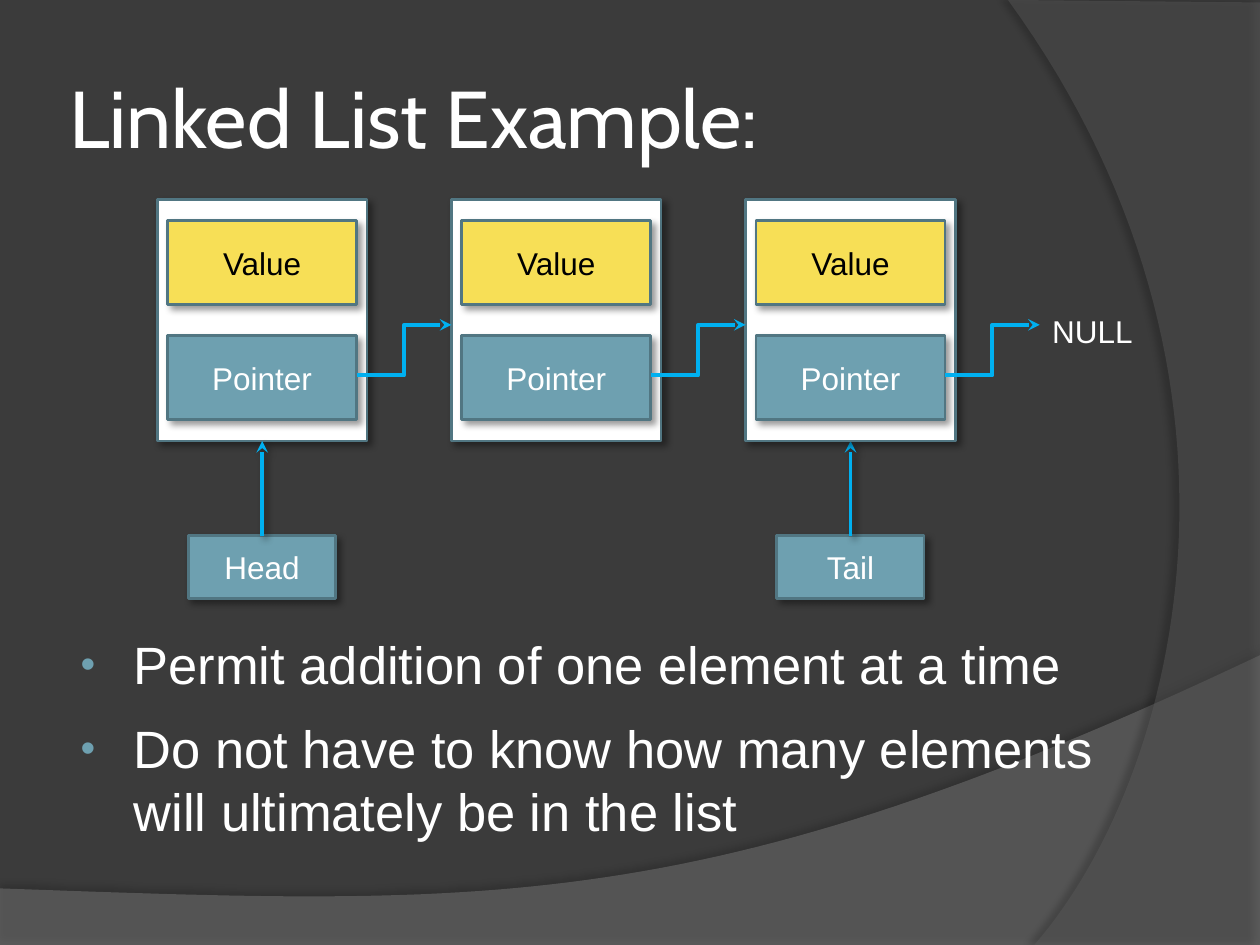
from dataclasses import dataclass

from lxml.etree import SubElement
from pptx import Presentation
from pptx.dml.color import RGBColor
from pptx.enum.shapes import MSO_CONNECTOR as Connector, MSO_SHAPE as Shape
from pptx.enum.text import MSO_ANCHOR as Anchor, MSO_AUTO_SIZE as AutoSize, PP_ALIGN as Align
from pptx.oxml.ns import qn
from pptx.util import Cm, Pt


@dataclass(frozen=True)
class Theme:
    """Colours, fonts and type sizes of the deck."""
    background: str = "3B3B3B"
    wave: str = "7F7F7F"
    arc: str = "5E5E5E"
    white: str = "FFFFFF"
    black: str = "000000"
    teal: str = "6EA0B0"
    edge: str = "517682"
    yellow: str = "F7DF56"
    arrow: str = "00B0F0"
    title_font: str = "Cabin"
    font: str = "Arial"
    title_size: int = 46
    body_size: int = 30
    label_size: int = 18


THEME = Theme()
NODE_LEFT, NODE_TOP, NODE_WIDTH, NODE_HEIGHT = 3.17, 4.02, 4.23, 4.87
NODE_PITCH = 5.93
CELL_INSET, CELL_WIDTH, CELL_HEIGHT = 0.21, 3.81, 1.69
TAG_TOP, TAG_WIDTH, TAG_HEIGHT = 10.8, 2.97, 1.27


def rgb(color):
    """Turn a hex string into a colour."""
    return RGBColor.from_string(color)


def add_shadow(item, opacity=40, distance=3, angle=45):
    """Give a shape or connector a soft black outer shadow."""
    properties = item._element.spPr
    effects = properties.find(qn("a:effectLst"))
    if effects is None:
        effects = SubElement(properties, qn("a:effectLst"))
    shadow = SubElement(effects, qn("a:outerShdw"), blurRad=str(Pt(4)),
                        dist=str(Pt(distance)), dir=str(angle * 60000),
                        algn="ctr", rotWithShape="0")
    color = SubElement(shadow, qn("a:srgbClr"), val=THEME.black)
    SubElement(color, qn("a:alpha"), val=str(opacity * 1000))


def write(para, text, size, color=THEME.white, font=THEME.font):
    """Add one formatted run to a paragraph."""
    span = para.add_run()
    span.text = text
    span.font.name = font
    span.font.size = Pt(size)
    span.font.color.rgb = rgb(color)


def bezier(start, first, second, end, steps=60):
    """List the points of a cubic curve after its start."""
    points = []
    for step in range(1, steps + 1):
        t = step / steps
        weights = ((1 - t) ** 3, 3 * t * (1 - t) ** 2, 3 * t * t * (1 - t), t ** 3)
        points.append(tuple(sum(w * p[axis] for w, p in zip(weights, (start, first, second, end)))
                            for axis in (0, 1)))
    return points


def add_backdrop(page, corners, curve, color, opacity, shadow):
    """Lay a translucent curved panel behind everything else."""
    points = [(Cm(x), Cm(y)) for x, y in corners + bezier(corners[-1], *curve)]
    builder = page.shapes.build_freeform(*points[0])
    builder.add_line_segments(points[1:], close=True)
    panel = builder.convert_to_shape()
    panel.fill.solid()
    panel.fill.fore_color.rgb = rgb(color)
    fill_color = panel._element.spPr.find(qn("a:solidFill"))[0]
    SubElement(fill_color, qn("a:alpha"), val=str(opacity * 1000))
    panel.line.fill.background()
    panel.shadow.inherit = False
    add_shadow(panel, *shadow)
    page.shapes._spTree.insert(2, panel._element)


def place(box, left, top, width, height):
    """Move and size a placeholder."""
    box.left, box.top, box.width, box.height = map(Cm, (left, top, width, height))


def fill_title(box, text):
    """Format the title placeholder."""
    place(box, 1.27, 0.76, 20.75, 3.18)
    frame = box.text_frame
    frame.auto_size = AutoSize.NONE
    frame.vertical_anchor = Anchor.MIDDLE
    frame.margin_left = frame.margin_right = frame.margin_top = frame.margin_bottom = Cm(0.13)
    frame.paragraphs[0].alignment = Align.LEFT
    write(frame.paragraphs[0], text, THEME.title_size, font=THEME.title_font)


def fill_list(box, items):
    """Format the body placeholder as a bulleted list."""
    place(box, 1.27, 12.62, 22.23, 5.59)
    frame = box.text_frame
    frame.auto_size = AutoSize.NONE
    for index, text in enumerate(items):
        para = frame.add_paragraph() if index else frame.paragraphs[0]
        para.space_before = para.space_after = Pt(6)
        para.line_spacing = Pt(36)
        properties = para._p.get_or_add_pPr()
        properties.set("marL", str(Cm(1.17)))
        properties.set("indent", str(Cm(-1.07)))
        color = SubElement(properties, qn("a:buClr"))
        SubElement(color, qn("a:srgbClr"), val=THEME.teal)
        SubElement(properties, qn("a:buSzPct"), val="80000")
        SubElement(properties, qn("a:buFont"), typeface=THEME.font)
        SubElement(properties, qn("a:buChar"), char="•")
        write(para, text, THEME.body_size)


def add_box(page, left, top, width, height, fill, text="", color=THEME.white):
    """Draw a bordered, shadowed rectangle with an optional label."""
    box = page.shapes.add_shape(Shape.RECTANGLE, Cm(left), Cm(top), Cm(width), Cm(height))
    box.fill.solid()
    box.fill.fore_color.rgb = rgb(fill)
    box.line.color.rgb = rgb(THEME.edge)
    box.line.width = Pt(1.5)
    box.shadow.inherit = False
    add_shadow(box)
    if text:
        para = box.text_frame.paragraphs[0]
        para.alignment = Align.CENTER
        write(para, text, THEME.label_size, color)


def add_arrow(page, kind, start, end):
    """Draw a connector with a stealth arrowhead."""
    arrow = page.shapes.add_connector(kind, *map(Cm, start + end))
    arrow.line.color.rgb = rgb(THEME.arrow)
    arrow.line.width = Pt(2.25)
    SubElement(arrow.line._get_or_add_ln(), qn("a:tailEnd"), type="stealth")
    SubElement(arrow._element.spPr, qn("a:effectLst"))
    return arrow


def add_node(page, left):
    """Draw a list node and the arrow to its successor."""
    add_box(page, left, NODE_TOP, NODE_WIDTH, NODE_HEIGHT, THEME.white)
    cell_left = left + CELL_INSET
    add_box(page, cell_left, 4.45, CELL_WIDTH, CELL_HEIGHT, THEME.yellow, "Value", THEME.black)
    add_box(page, cell_left, 6.77, CELL_WIDTH, CELL_HEIGHT, THEME.teal, "Pointer")
    add_arrow(page, Connector.ELBOW, (cell_left + CELL_WIDTH, 7.57), (left + NODE_PITCH, 6.55))


def add_tag(page, node_left, text):
    """Draw a named box under a node, pointing up at it."""
    center = node_left + NODE_WIDTH / 2
    add_box(page, center - TAG_WIDTH / 2, TAG_TOP, TAG_WIDTH, TAG_HEIGHT, THEME.teal, text)
    arrow = add_arrow(page, Connector.STRAIGHT, (center, TAG_TOP), (center, NODE_TOP + NODE_HEIGHT))
    add_shadow(arrow)


def add_label(page, left, top, width, height, text):
    """Add a single-line text box."""
    box = page.shapes.add_textbox(Cm(left), Cm(top), Cm(width), Cm(height))
    box.text_frame.word_wrap = False
    box.text_frame.auto_size = AutoSize.SHAPE_TO_FIT_TEXT
    write(box.text_frame.paragraphs[0], text, THEME.label_size)


def main():
    """Build the linked list slide."""
    deck = Presentation()
    deck.slide_width, deck.slide_height = Cm(25.4), Cm(19.05)
    page = deck.slides.add_slide(deck.slide_layouts[1])
    page.background.fill.solid()
    page.background.fill.fore_color.rgb = rgb(THEME.background)

    add_backdrop(page, [(25.4, 0.05), (25.4, 19.05), (20.85, 19.05)],
                 [(23.75, 15.72), (25.86, 7.62), (20.32, 0)], THEME.arc, 40, (45, 4, 180))
    add_backdrop(page, [(0, 17.91), (0, 19.05), (25.4, 19.05), (25.4, 13.21)],
                 [(14.2, 18.52), (9.93, 18.26), (0, 17.91)], THEME.wave, 45, (35, 3.5, 270))

    fill_title(page.shapes.title, "Linked List Example:")
    fill_list(page.placeholders[1], [
        "Permit addition of one element at a time",
        "Do not have to know how many elements will ultimately be in the list",
    ])

    lefts = [NODE_LEFT + index * NODE_PITCH for index in range(3)]
    add_tag(page, lefts[-1], "Tail")
    add_label(page, 20.96, 6.17, 2.24, 1.02, "NULL")
    for left in reversed(lefts):
        add_node(page, left)
    add_tag(page, lefts[0], "Head")
    deck.save("out.pptx")


if __name__ == "__main__":
    main()
